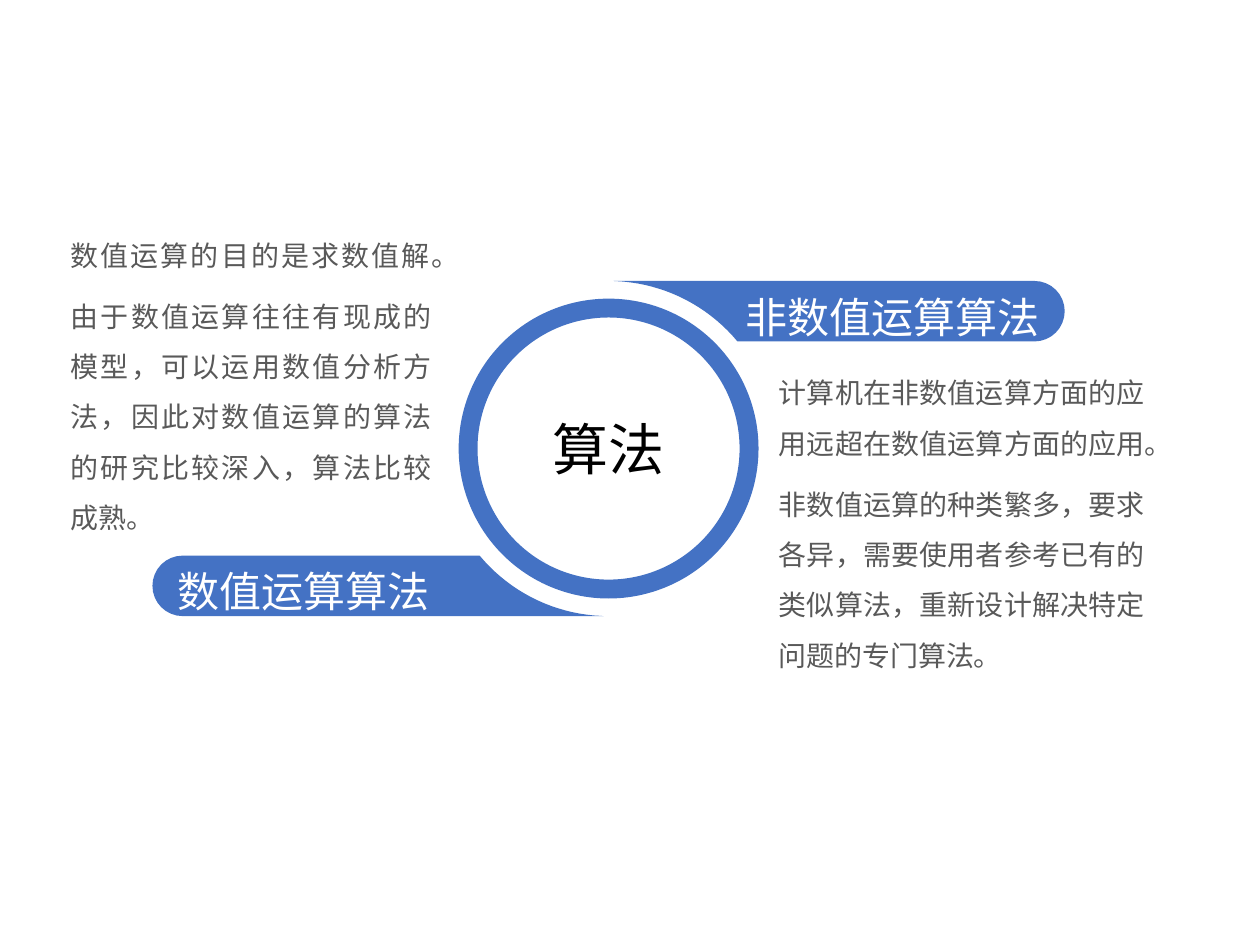
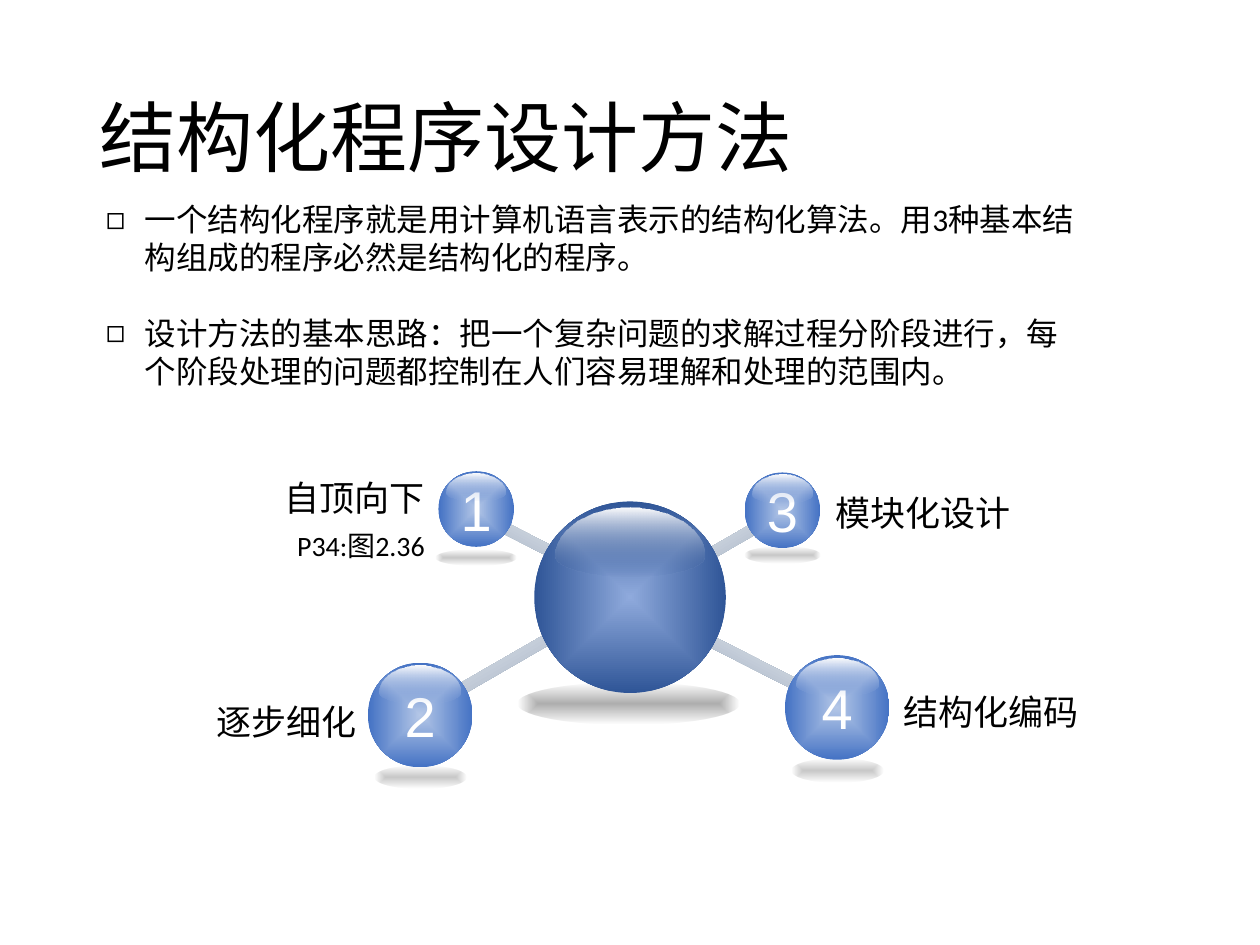
import math
import pptx
import pptx.util
import pptx.dml.color
import pptx.enum.lang
import pptx.enum.shapes
import pptx.enum.text
import pptx.oxml
import pptx.oxml.ns

Inches = pptx.util.Inches
Pt = pptx.util.Pt
Kind = pptx.enum.shapes.MSO_SHAPE
Align = pptx.enum.text.PP_ALIGN
Anchor = pptx.enum.text.MSO_ANCHOR
qn = pptx.oxml.ns.qn

BLUE, WHITE, BLACK, GREY = "4472C4", "FFFFFF", "000000", "595959"
PALE, SKY, NAVY = "B4C7E7", "8FAADC", "2F5597"
FONT = "Calibri"
HUB = (4.24, 3.98, 1.52)
# number, ball (left, top, size), shadow box, link (left, top, width, angle)
BALLS = [
    ("1", (3.48, 3.74, 0.6), (3.46, 4.36, 0.64, 0.13), (3.84, 4.29, 0.9, 27)),
    ("2", (2.92, 5.26, 0.83), (2.97, 6.08, 0.73, 0.18), (3.45, 5.22, 1.13, 330)),
    ("3", (5.91, 3.75, 0.6), (5.91, 4.34, 0.6, 0.13), (5.26, 4.31, 0.9, 330)),
    ("4", (6.23, 5.2, 0.83), (6.28, 6.02, 0.73, 0.19), (5.46, 5.19, 0.93, 27)),
]
# box, alignment, (text, size) lines
LABELS = [
    ((0.73, 3.42, 2.74, 1.31), Align.RIGHT, [("自顶向下", 20), ("P34:图2.36", 16)]),
    ((0.69, 5.02, 2.24, 1.31), Align.RIGHT, [("逐步细化", 20)]),
    ((6.53, 3.36, 2.62, 1.31), Align.LEFT, [("模块化设计", 20)]),
    ((7.07, 4.94, 2.08, 1.31), Align.LEFT, [("结构化编码", 20)]),
]


def rgb(code):
    return pptx.dml.color.RGBColor.from_string(code)


def place(item, box):
    item.left, item.top, item.width, item.height = map(Inches, box)


def style(para, size, color, font=FONT, align=Align.LEFT, space=1.0, before=0):
    para.alignment = align
    para.line_spacing = space
    para.space_before = Pt(before)
    para.font.size = Pt(size)
    para.font.name = font
    para.font.color.rgb = rgb(color)
    para.font.language_id = pptx.enum.lang.MSO_LANGUAGE_ID.SIMPLIFIED_CHINESE


def fill_text(item, lines, color, pad=(0, 0, 0, 0), anchor=Anchor.MIDDLE,
              gap=0, **look):
    """Write (text, size) lines, one paragraph each, into a shape or box."""
    frame = item.text_frame
    frame.word_wrap = True
    frame.vertical_anchor = anchor
    (frame.margin_left, frame.margin_top,
     frame.margin_right, frame.margin_bottom) = map(Inches, pad)
    for i, (text, size) in enumerate(lines):
        para = frame.add_paragraph() if i else frame.paragraphs[0]
        para.text = text
        style(para, size, color, before=gap if i else 0, **look)


def add_text(slide, box, lines, color, **look):
    fill_text(slide.shapes.add_textbox(*map(Inches, box)), lines, color, **look)


def plain(shape, color=None):
    """Strip shadow and line; fill with a colour or with nothing."""
    shape.shadow.inherit = False
    shape.line.fill.background()
    if color:
        shape.fill.solid()
        shape.fill.fore_color.rgb = rgb(color)
    else:
        shape.fill.background()
    return shape


def add_preset(slide, kind, box, color=None):
    return plain(slide.shapes.add_shape(kind, *map(Inches, box)), color)


def add_outline(slide, points, color=None):
    dots = [(Inches(x), Inches(y)) for x, y in points]
    pen = slide.shapes.build_freeform(*dots[0])
    pen.add_line_segments(dots[1:], close=True)
    return plain(pen.convert_to_shape(), color)


def blend(shape, *stops, radial=False):
    """Gradient of (position, colour, opacity) stops, downward or from the middle."""
    marks = "".join(
        f'<a:gs pos="{at * 1000}"><a:srgbClr val="{color}">'
        f'<a:alpha val="{alpha * 1000}"/></a:srgbClr></a:gs>'
        for at, color, alpha in stops)
    way = ('<a:path path="shape"><a:fillToRect l="50000" t="50000" r="50000" '
           'b="50000"/></a:path>' if radial else '<a:lin ang="5400000" scaled="1"/>')
    grad = pptx.oxml.parse_xml(
        f'<a:gradFill {pptx.oxml.ns.nsdecls("a")} rotWithShape="1">'
        f'<a:gsLst>{marks}</a:gsLst>{way}</a:gradFill>')
    props = shape._element.spPr
    props.replace(props.find(qn("a:noFill")), grad)


def add_banner(slide, side, text, font, align):
    """Banner hugging the ring; side -1 is the half-turn of side 1."""
    mid_x, mid_y, radius, high = 4.83, 3.56, 1.33, 0.48
    cap = high / 2
    turns = [math.pi * i / 16 for i in range(17)]
    edge = math.acos((radius - high) / radius)
    points = [(3.38 + cap * math.sin(t), cap - radius - cap * math.cos(t))
              for t in turns]
    points += [(radius * math.sin(t), -radius * math.cos(t))
               for t in (edge * (1 - i / 20) for i in range(20))]
    points.append((0.04, -radius))
    shape = add_outline(slide, [(mid_x + side * x, mid_y + side * y)
                                for x, y in points], BLUE)
    fill_text(shape, [(text, 24)], WHITE, pad=(0.2, 0.05, 0.2, 0.05),
              font=font, align=align, space=1.2)


def add_shade(slide, box, alpha):
    shape = add_preset(slide, Kind.OVAL, box)
    blend(shape, (0, BLACK, alpha), (97, BLACK, 0), radial=True)


def add_link(slide, left, top, width, angle):
    bar = add_preset(slide, Kind.ROUNDED_RECTANGLE, (left, top, width, 0.09))
    bar.adjustments[0] = 0.45
    bar.rotation = angle
    bar._element.spPr.xfrm.set("flipV", "1")
    blend(bar, (0, "99A8BD", 100), (100, "EBEEF2", 100))


def add_ball(slide, left, top, size, inner, outer):
    ball = add_preset(slide, Kind.OVAL, (left, top, size, size))
    blend(ball, (0, inner, 100), (100, outer, 100), radial=True)
    return ball


def add_gloss(slide, left, top, size, color):
    """Highlight: a tall half ellipse above a flat one."""
    points = []
    for i in range(48):
        turn = math.tau * i / 48
        rise = 0.11 if math.sin(turn) > 0 else 0.25
        points.append((left + size * (0.5 + 0.39 * math.cos(turn)),
                       top + size * (0.28 + rise * math.sin(turn))))
    blend(add_outline(slide, points), (0, WHITE, 100), (100, color, 0))


def add_bullet(para):
    props = para._p.get_or_add_pPr()
    props.set("marL", str(Inches(0.31)))
    props.set("indent", str(-Inches(0.31)))
    mark = pptx.oxml.parse_xml(
        f'<a:buChar {pptx.oxml.ns.nsdecls("a")} char="◻"/>')
    props.append(mark)


def fill_list(body, items, size, gap):
    frame = body.text_frame
    frame.auto_size = pptx.enum.text.MSO_AUTO_SIZE.NONE
    for i, text in enumerate(items):
        para = frame.add_paragraph() if i else frame.paragraphs[0]
        para.text = text
        add_bullet(para)
        style(para, size, BLACK, before=gap if i else 0)


def kinds_slide(deck):
    slide = deck.slides.add_slide(deck.slide_layouts[6])
    add_banner(slide, 1, "非数值运算算法", "Arial Narrow", Align.RIGHT)
    add_banner(slide, -1, "数值运算算法", FONT, Align.LEFT)
    ring = add_preset(slide, Kind.DONUT, (3.64, 2.37, 2.38, 2.38), BLUE)
    ring.adjustments[0] = 0.063
    fill_text(ring, [("算法", 32)], BLACK, font="Noto Sans CJK SC",
              align=Align.CENTER)
    note = dict(color=GREY, pad=(0, 0.16, 0.2, 0.16), align=Align.JUSTIFY,
                space=1.5, gap=6)
    add_text(slide, (0.56, 2.06, 3.07, 2.34), [
        ("数值运算的目的是求数值解。", 16),
        ("由于数值运算往往有现成的模型，可以运用数值分析方法，"
         "因此对数值运算的算法的研究比较深入，算法比较成熟。", 16),
    ], anchor=Anchor.BOTTOM, **note)
    add_text(slide, (6.18, 2.69, 3.11, 1.89), [
        ("计算机在非数值运算方面的应用远超在数值运算方面的应用。", 16),
        ("非数值运算的种类繁多，要求各异，需要使用者参考已有的类似算法，"
         "重新设计解决特定问题的专门算法。", 16),
    ], anchor=Anchor.TOP, **note)


def method_slide(deck):
    slide = deck.slides.add_slide(deck.slide_layouts[1])
    title, body = slide.placeholders
    place(title, (0.69, 0.4, 8.62, 1.45))
    fill_text(title, [("结构化程序设计方法", 44)], BLACK,
              pad=(0.1, 0.05, 0.1, 0.05), space=0.9)
    place(body, (0.74, 1.54, 7.93, 1.62))
    fill_list(body, [
        "一个结构化程序就是用计算机语言表示的结构化算法。"
        "用3种基本结构组成的程序必然是结构化的程序。",
        "设计方法的基本思路：把一个复杂问题的求解过程分阶段进行，"
        "每个阶段处理的问题都控制在人们容易理解和处理的范围内。",
    ], 18, 21.6)

    add_shade(slide, (4.11, 5.42, 1.76, 0.33), 32)
    for _, _, shade, link in BALLS:
        add_shade(slide, shade, 22)
        add_link(slide, *link)
    add_ball(slide, *HUB, SKY, NAVY)
    add_gloss(slide, *HUB, NAVY)
    for number, spot, _, _ in BALLS:
        ball = add_ball(slide, *spot, PALE, BLUE)
        fill_text(ball, [(number, 32)], WHITE, font="Arial", align=Align.CENTER)
        add_gloss(slide, *spot, SKY)
    for box, align, lines in LABELS:
        add_text(slide, box, lines, BLACK, pad=(0.1, 0.05, 0.1, 0.05),
                 align=align, space=1.3)


def main():
    deck = pptx.Presentation()
    deck.slide_width, deck.slide_height = Inches(10), Inches(7.5)
    kinds_slide(deck)
    method_slide(deck)
    deck.save("out.pptx")


if __name__ == "__main__":
    main()
